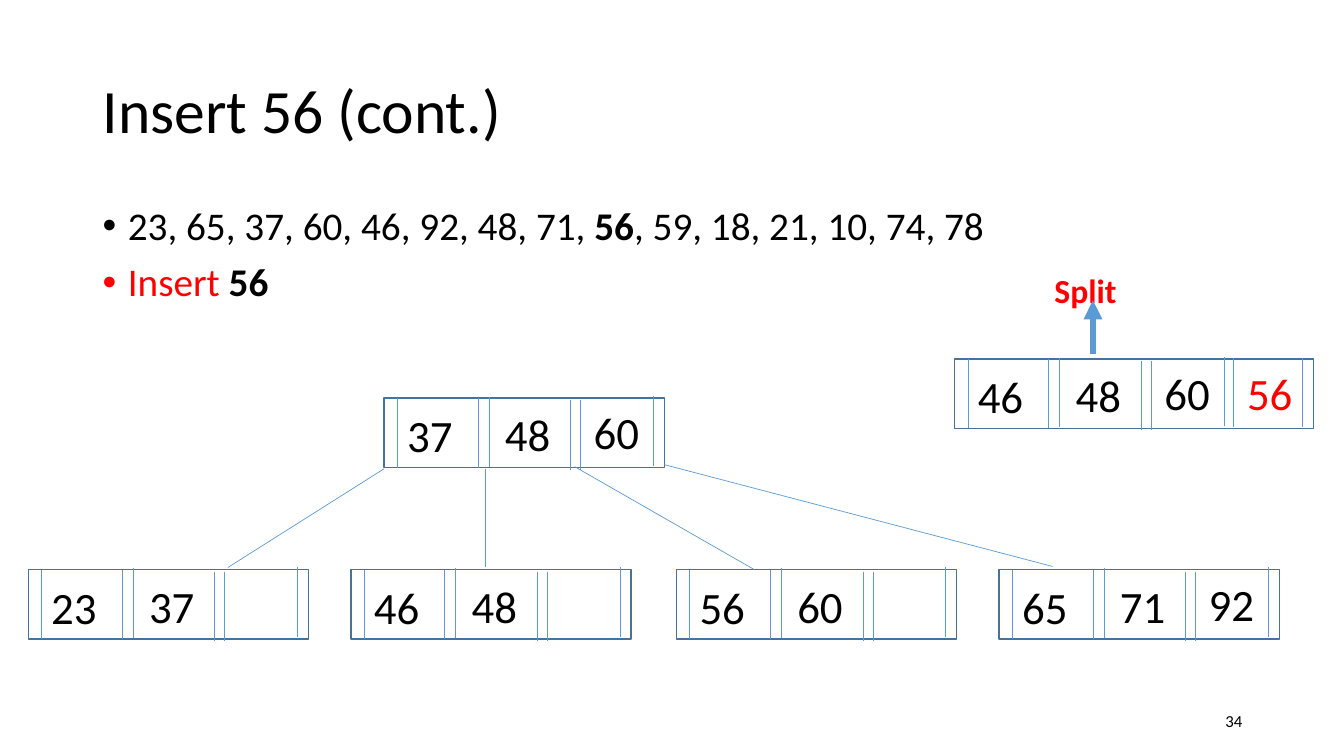
import pptx
import pptx.util
import pptx.dml.color
import pptx.enum.shapes
import pptx.enum.text
import pptx.oxml
import pptx.oxml.ns
from lxml import etree

Inches = pptx.util.Inches
Pt = pptx.util.Pt
qn = pptx.oxml.ns.qn
rgb = pptx.dml.color.RGBColor.from_string
BLACK, RED, BLUE, OUTLINE = "000000", "FF0000", "5B9BD5", "43739E"


def add_text(parent, words, left, top, width, height, size, color=BLACK):
    box = parent.add_textbox(Inches(left), Inches(top), Inches(width), Inches(height))
    box.text_frame.word_wrap = True
    paragraph = box.text_frame.paragraphs[0]
    paragraph.text = words
    paragraph.font.size = Pt(size)
    paragraph.font.name = "Calibri"
    paragraph.font.color.rgb = rgb(color)
    return box.text_frame


def add_line(parent, x1, y1, x2, y2, weight=0.5):
    line = parent.add_connector(
        pptx.enum.shapes.MSO_CONNECTOR.STRAIGHT,
        Inches(x1), Inches(y1), Inches(x2), Inches(y2))
    line.line.color.rgb = rgb(BLUE)
    line.line.width = Pt(weight)
    etree.SubElement(line._element.spPr, qn("a:effectLst"))
    return line


presentation = pptx.Presentation()
presentation.slide_width = Inches(13.33)
presentation.slide_height = Inches(7.5)
slide = presentation.slides.add_slide(presentation.slide_layouts[6])
shapes = slide.shapes

title = add_text(shapes, "Insert 56 (cont.)", 0.92, 0.4, 11.5, 1.45, 44)
title.vertical_anchor = pptx.enum.text.MSO_ANCHOR.MIDDLE
title.paragraphs[0].line_spacing = 0.9

steps = add_text(shapes, "", 0.92, 2, 11.5, 1.22, 28)
steps.add_paragraph()
step_runs = [
    [("23, 65, 37, 60, 46, 92, 48, 71, ", BLACK, False), ("56", BLACK, True),
     (", 59, 18, 21, 10, 74, 78", BLACK, False)],
    [("Insert ", RED, False), ("56", BLACK, True)],
]
for paragraph, runs in zip(steps.paragraphs, step_runs):
    paragraph.font.size = Pt(28)
    paragraph.font.name = "Calibri"
    paragraph.line_spacing = 0.9
    paragraph.space_before = Pt(10)
    properties = paragraph._p.get_or_add_pPr()
    properties.set("marL", str(Inches(0.25)))
    properties.set("indent", str(Inches(-0.25)))
    bullet_font = pptx.oxml.parse_xml(
        '<a:buFont xmlns:a="http://schemas.openxmlformats.org/drawingml/2006/main" typeface="Arial"/>')
    bullet = pptx.oxml.parse_xml(
        '<a:buChar xmlns:a="http://schemas.openxmlformats.org/drawingml/2006/main" char="&#8226;"/>')
    properties.find(qn("a:defRPr")).addprevious(bullet_font)
    bullet_font.addnext(bullet)
    for words, color, bold in runs:
        run = paragraph.add_run()
        run.text = words
        run.font.color.rgb = rgb(color)
        run.font.bold = bold

page_number = add_text(shapes, "34", 9.42, 6.95, 3, 0.4, 12)
page_number.vertical_anchor = pptx.enum.text.MSO_ANCHOR.MIDDLE
page_number.paragraphs[0].alignment = pptx.enum.text.PP_ALIGN.RIGHT

dividers = [(0.13, 0), (0.93, 0), (1.04, -0.01), (1.85, 0.02), (1.95, 0.02),
            (2.67, -0.02), (2.76, -0.01), (3.45, -0.01)]
key_places = [(0.13, 0.05), (1.1, 0.04), (1.98, 0.02), (2.8, 0.02)]
nodes = [
    (3.81, 3.95, ["37", "48", "60"]),
    (0.28, 5.65, ["23", "37"]),
    (3.48, 5.65, ["46", "48"]),
    (6.71, 5.65, ["56", "60"]),
    (9.91, 5.65, ["65", "71", "92"]),
    (9.47, 3.56, ["46", "48", "60", "56"]),
]
for left, top, keys in nodes:
    overflow = len(keys) == 4
    node = shapes.add_group_shape().shapes
    frame = node.add_shape(
        pptx.enum.shapes.MSO_SHAPE.RECTANGLE,
        Inches(left), Inches(top), Inches(3.56 if overflow else 2.78), Inches(0.69))
    frame.shadow.inherit = False
    frame.fill.background()
    frame.line.color.rgb = rgb(OUTLINE)
    frame.line.width = Pt(1)
    for x, y in dividers if overflow else dividers[:6]:
        add_line(node, left + x, top + y, left + x, top + y + 0.69)
    for position, (key, (x, y)) in enumerate(zip(keys, key_places)):
        add_text(node, key, left + x, top + y, 0.8, 0.64, 32,
                 RED if position == 3 else BLACK)

split_label = add_text(shapes, "Split", 10.36, 2.63, 0.96, 0.5, 24, RED)
split_label.paragraphs[0].font.bold = True
split_arrow = add_line(shapes, 10.84, 3.51, 10.84, 2.98, 4.5)
etree.SubElement(split_arrow.line._get_or_add_ln(), qn("a:tailEnd"), type="triangle")

for branch in [(3.81, 4.65, 2.26, 5.63), (4.81, 4.65, 4.81, 5.63),
               (5.7, 4.63, 7.48, 5.65), (6.59, 4.61, 10.44, 5.62)]:
    add_line(shapes, *branch)

presentation.save("out.pptx")
